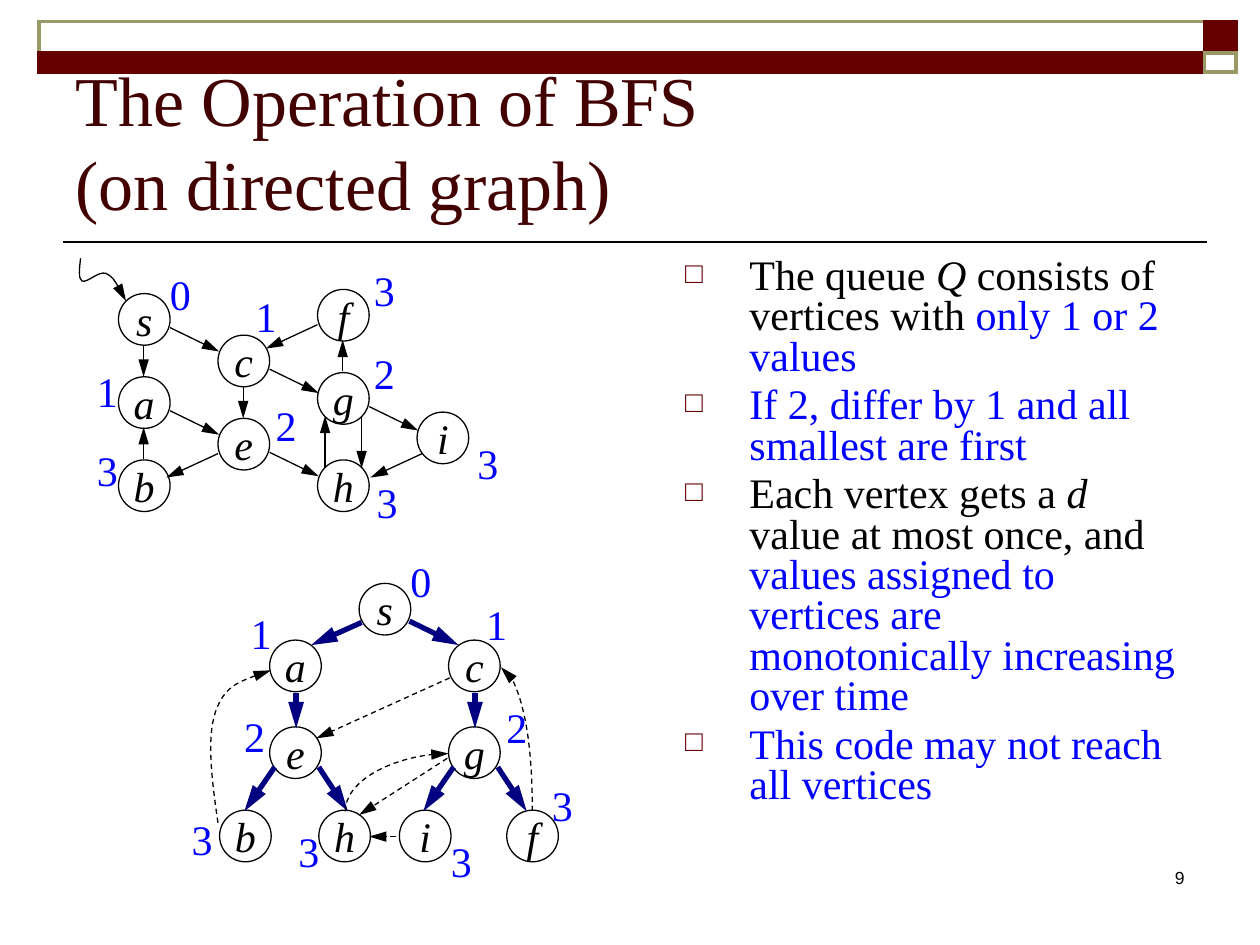
from dataclasses import dataclass
from typing import NamedTuple

from lxml import etree
from pptx import Presentation
from pptx import util as u
from pptx.dml.color import RGBColor
from pptx.enum import dml, shapes, text
from pptx.oxml.ns import qn


@dataclass(frozen=True)
class Theme:
    serif: str = "Times New Roman"
    sans: str = "Arial"
    ink: str = "000000"
    title: str = "420000"
    maroon: str = "660000"
    olive: str = "999966"
    blue: str = "0000FF"
    navy: str = "000080"
    title_size: float = 40
    body_size: float = 24
    number_size: float = 10
    thin: float = 0.75
    rule: float = 1
    frame: float = 2
    heavy: float = 3


class Stroke(NamedTuple):
    color: str
    width: float
    dashed: bool = False


class Node(NamedTuple):
    name: str
    column: float
    row: float
    distance: str
    label_dx: float
    label_dy: float


class Route(NamedTuple):
    dx: float
    dy: float
    run: float
    rise: float


class Bend(NamedTuple):
    left: float
    top: float
    width: float
    height: float
    turn: int
    flipped: bool


@dataclass(frozen=True)
class Grid:
    left: float
    top: float
    column: float
    row: float

    def place(self, node: Node) -> tuple[float, float]:
        return self.left + node.column * self.column, self.top + node.row * self.row


THEME = Theme()
THIN = Stroke(THEME.ink, THEME.thin)
DASHED = Stroke(THEME.ink, THEME.thin, True)
HEAVY = Stroke(THEME.navy, THEME.heavy)
DIAMETER = 0.41

deck = Presentation()
deck.slide_width, deck.slide_height = u.Inches(10), u.Inches(7.5)
page = deck.slides.add_slide(deck.slide_layouts[5])


def inches(*values: float) -> list[int]:
    return [u.Inches(value) for value in values]


def style_line(line, stroke: Stroke) -> None:
    line.color.rgb = RGBColor.from_string(stroke.color)
    line.width = u.Pt(stroke.width)
    if stroke.dashed:
        line.dash_style = dml.MSO_LINE.DASH


def add_head(shape) -> None:
    etree.SubElement(shape.line._get_or_add_ln(), qn("a:tailEnd"),
                     type="triangle", w="med", len="lg")


def write(para, words: str, *, color=THEME.ink, size=THEME.body_size,
          font=THEME.serif, italic=False) -> None:
    for index, line in enumerate(words.split("\n")):
        if index:
            para.add_line_break()
        span = para.add_run()
        span.text = line
        span.font.name, span.font.size, span.font.italic = font, u.Pt(size), italic
        span.font.color.rgb = RGBColor.from_string(color)


def add_text(left: float, top: float, width: float, height: float, words: str = "",
             *, wrap=True, align=text.PP_ALIGN.LEFT, **style):
    box = page.shapes.add_textbox(*inches(left, top, width, height))
    box.text_frame.word_wrap = wrap
    para = box.text_frame.paragraphs[0]
    para.alignment = align
    if words:
        write(para, words, **style)
    return box


def add_plain(kind, area, stroke: Stroke, fill: str = ""):
    shape = page.shapes.add_shape(kind, *inches(*area))
    shape.shadow.inherit = False
    if fill:
        shape.fill.solid()
        shape.fill.fore_color.rgb = RGBColor.from_string(fill)
    else:
        shape.fill.background()
    style_line(shape.line, stroke)
    etree.SubElement(shape.line._get_or_add_ln(), qn("a:miter"), lim="800000")
    return shape


def add_line(x: float, y: float, run: float, rise: float, stroke: Stroke,
             head=True, kind=shapes.MSO_CONNECTOR.STRAIGHT):
    line = page.shapes.add_connector(kind, *inches(x, y, x + run, y + rise))
    style_line(line.line, stroke)
    if head:
        add_head(line)
    etree.SubElement(line._element.spPr, qn("a:effectLst"))
    return line


def add_bend(bend: Bend) -> None:
    x = bend.left + bend.width if bend.flipped else bend.left
    run = -bend.width if bend.flipped else bend.width
    line = add_line(x, bend.top, run, bend.height, DASHED, kind=shapes.MSO_CONNECTOR.CURVE)
    properties = line._element.spPr
    properties.find(qn("a:xfrm")).set("rot", str(bend.turn * 60000))
    properties.find(qn("a:prstGeom")).set("prst", "curvedConnector2")


def add_curve(points: list[tuple[float, float]], stroke: Stroke) -> None:
    start, *controls = [tuple(inches(*point)) for point in points]
    builder = page.shapes.build_freeform(*start)
    builder.add_line_segments(controls, close=False)
    curve = builder.convert_to_shape()
    curve.shadow.inherit = False
    curve.fill.background()
    style_line(curve.line, stroke)
    add_head(curve)
    outline = curve._element.spPr.find(".//" + qn("a:path"))
    steps = outline.findall(qn("a:lnTo"))
    for first in range(0, len(steps), 3):
        cubic = etree.SubElement(outline, qn("a:cubicBezTo"))
        for step in steps[first:first + 3]:
            cubic.append(step[0])
            outline.remove(step)


def add_graph(grid: Grid, nodes: list[Node], edges: list[tuple[str, Route, Stroke]]) -> None:
    places = {node.name: grid.place(node) for node in nodes}
    for node in nodes:
        x, y = places[node.name]
        circle = add_plain(shapes.MSO_SHAPE.OVAL, (x, y, DIAMETER, DIAMETER), THIN)
        frame = circle.text_frame
        frame.word_wrap, frame.vertical_anchor = False, text.MSO_ANCHOR.MIDDLE
        frame.paragraphs[0].alignment = text.PP_ALIGN.CENTER
        write(frame.paragraphs[0], node.name, italic=True)
        add_text(x + node.label_dx, y + node.label_dy, 0.37, 0.5, node.distance,
                 wrap=False, color=THEME.blue)
    for origin, route, stroke in edges:
        x, y = places[origin]
        add_line(x + route.dx, y + route.dy, route.run, route.rise, stroke)


def add_bullet(para, spans: list[tuple[str, str, bool]]) -> None:
    para.line_spacing, para.space_before = 0.8, u.Pt(THEME.body_size * 0.2)
    for words, color, italic in spans:
        write(para, words, color=color, italic=italic)
    properties = para._p.get_or_add_pPr()
    properties.set("marL", str(u.Inches(0.51)))
    properties.set("indent", str(-u.Inches(0.51)))
    tint = etree.SubElement(properties, qn("a:buClr"))
    etree.SubElement(tint, qn("a:srgbClr"), val=THEME.maroon)
    etree.SubElement(properties, qn("a:buSzPct"), val="70000")
    etree.SubElement(properties, qn("a:buFont"), typeface=THEME.serif)
    etree.SubElement(properties, qn("a:buChar"), char="□")


add_line(0.5, 1.92, 9.08, 0, Stroke(THEME.ink, THEME.rule), head=False)
for column, (left, width) in enumerate([(0.31, 9.25), (9.56, 0.25)]):
    for row, (top, height) in enumerate([(0.17, 0.25), (0.42, 0.15)]):
        filled = column != row
        add_plain(shapes.MSO_SHAPE.RECTANGLE, (left, top, width, height),
                  Stroke(THEME.maroon if filled else THEME.olive, THEME.frame),
                  THEME.maroon if filled else "")

heading = page.shapes.title
heading.left, heading.top, heading.width, heading.height = inches(0.5, 0.58, 9, 1.25)
heading.text_frame.auto_size = text.MSO_AUTO_SIZE.NONE
heading.text_frame.vertical_anchor = text.MSO_ANCHOR.BOTTOM
heading.text_frame.paragraphs[0].alignment = text.PP_ALIGN.LEFT
write(heading.text_frame.paragraphs[0], "The Operation of BFS\n(on directed graph)",
      color=THEME.title, size=THEME.title_size)
add_text(7.42, 6.83, 2.08, 0.5, "9", align=text.PP_ALIGN.RIGHT,
         font=THEME.sans, size=THEME.number_size)

INK, BLUE = THEME.ink, THEME.blue
points = [
    [("The queue ", INK, False), ("Q", INK, True), (" consists of vertices with ", INK, False),
     ("only 1 or 2 values", BLUE, False)],
    [("If 2, differ by 1 and all smallest are first", BLUE, False)],
    [("Each vertex gets a ", INK, False), ("d", INK, True),
     (" value at most once, and ", INK, False),
     ("values assigned to vertices are monotonically increasing over time", BLUE, False)],
    [("This code may not reach all vertices", BLUE, False)],
]
body = add_text(5.34, 2, 4.16, 4.7).text_frame
for index, spans in enumerate(points):
    add_bullet(body.add_paragraph() if index else body.paragraphs[0], spans)

RIGHT, LEFT = Route(0.41, 0.27, 0.39, 0.19), Route(0, 0.28, -0.41, 0.19)
DOWN, UP = Route(0.2, 0.41, 0, 0.25), Route(0.2, -0.01, 0, -0.25)
directed = [(name, RIGHT, THIN) for name in "gecas"]
directed += [(name, DOWN, THIN) for name in "sc"]
directed += [(name, UP, THIN) for name in "bg"]
directed += [(name, LEFT, THIN) for name in "fe"]
directed += [("i", Route(0.04, 0.33, -0.41, 0.19), THIN),
             ("h", Route(0.06, 0.06, 0, -0.41), THIN),
             ("g", Route(0.35, 0.35, 0, 0.41), THIN)]
add_graph(Grid(0.94, 2.33, 0.79, 0.33), [
    Node("s", 0, 0, "0", 0.31, -0.25), Node("a", 0, 2, "1", -0.27, -0.14),
    Node("b", 0, 4, "3", -0.27, -0.17), Node("c", 1, 1, "1", 0.2, -0.4),
    Node("e", 1, 3, "2", 0.36, -0.2), Node("f", 2, -0.1, "3", 0.35, -0.25),
    Node("g", 2, 1.9, "2", 0.35, -0.25), Node("h", 2, 4, "3", 0.37, 0.08),
    Node("i", 3, 2.85, "3", 0.38, 0.15),
], directed)

FALL = Route(0.21, 0.42, 0, 0.28)
INWARD, OUTWARD = Route(0.04, 0.32, -0.24, 0.35), Route(0.39, 0.32, 0.23, 0.35)
tree = [(name, FALL, HEAVY) for name in "ac"]
tree += [(name, route, HEAVY) for name in "eg" for route in (INWARD, OUTWARD)]
tree += [("s", Route(0.4, 0.3, 0.39, 0.19), HEAVY),
         ("s", Route(0.02, 0.31, -0.4, 0.18), HEAVY),
         ("c", Route(0.01, 0.3, -1.06, 0.48), DASHED),
         ("i", Route(-0.03, 0.21, -0.21, 0), DASHED),
         ("g", Route(-0.01, 0.25, -0.7, 0.45), DASHED)]
add_graph(Grid(2.14, 4.63, 0.71, 0.45), [
    Node("s", 1, 0, "0", 0.31, -0.27), Node("a", 0, 1, "1", -0.25, -0.31),
    Node("c", 2, 1, "1", 0.2, -0.38), Node("e", 0, 2.53, "2", -0.3, -0.18),
    Node("g", 2, 2.53, "2", 0.36, -0.25), Node("b", -0.56, 4, "3", -0.32, -0.02),
    Node("h", 0.55, 4, "3", -0.26, 0.07), Node("i", 1.45, 4, "3", 0.31, 0.15),
    Node("f", 2.65, 4, "3", 0.26, -0.29),
], tree)

add_bend(Bend(3.53, 5.74, 1.14, 0.25, 90, True))
add_bend(Bend(2.92, 5.8, 0.46, 0.82, 270, False))
add_curve([(0.64, 2.05), (0.63, 2.13), (0.62, 2.21), (0.65, 2.23), (0.69, 2.25),
           (0.78, 2.15), (0.84, 2.17), (0.9, 2.2), (0.95, 2.29), (1, 2.39)], THIN)
add_curve([(1.73, 6.53), (1.68, 6.19), (1.64, 5.86), (1.71, 5.65), (1.78, 5.45),
           (1.96, 5.38), (2.15, 5.32)], DASHED)

deck.save("out.pptx")
